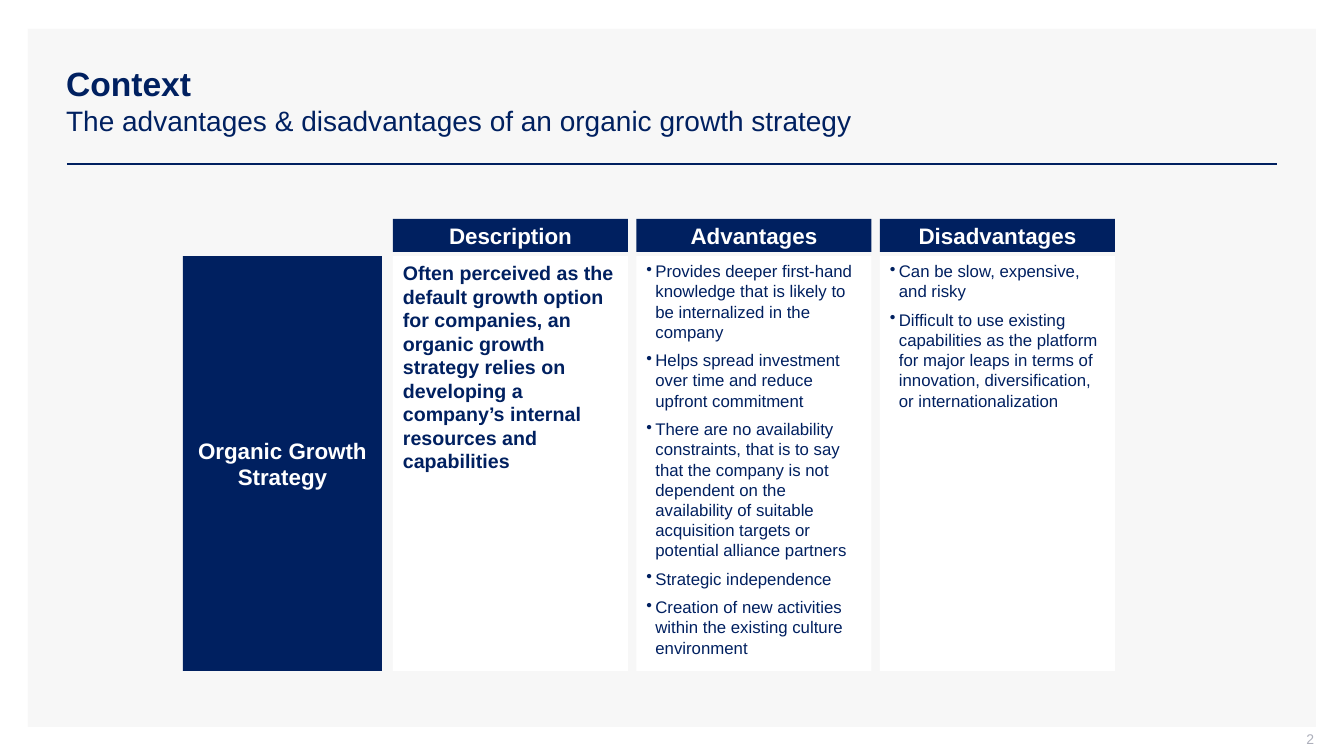
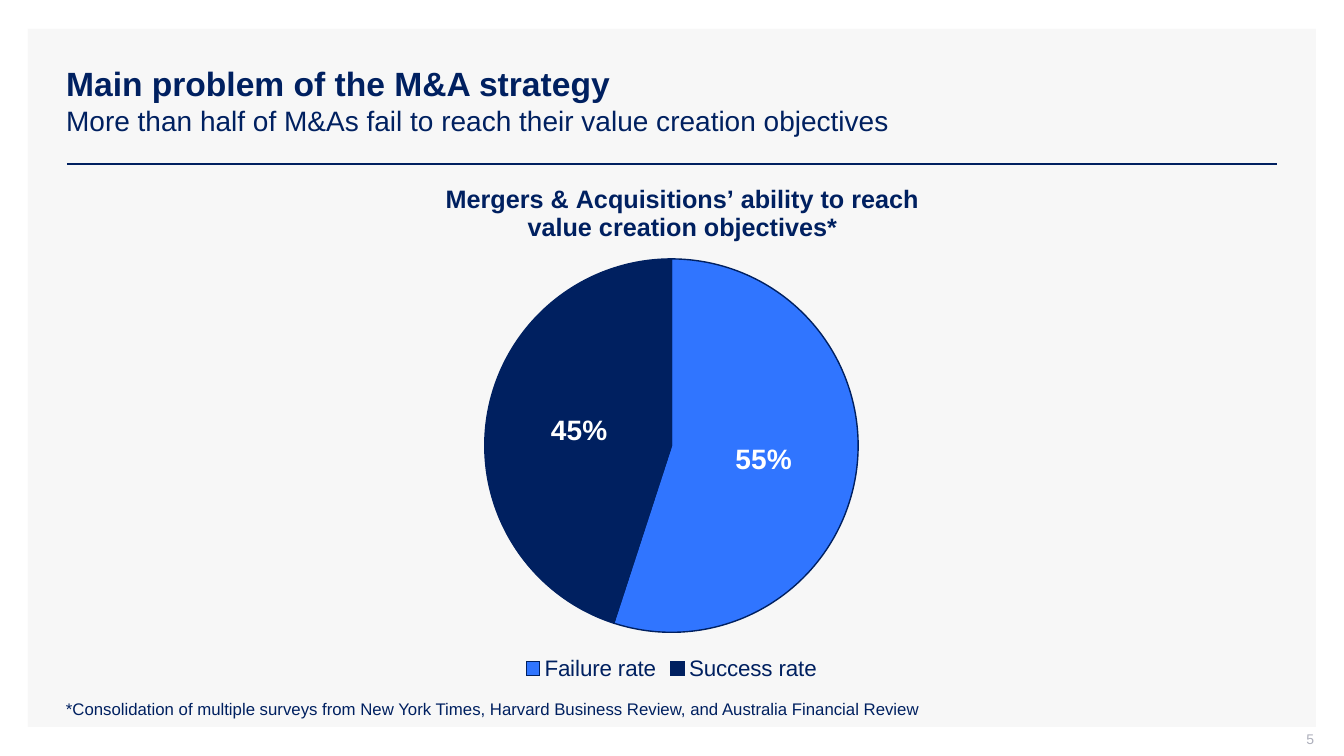
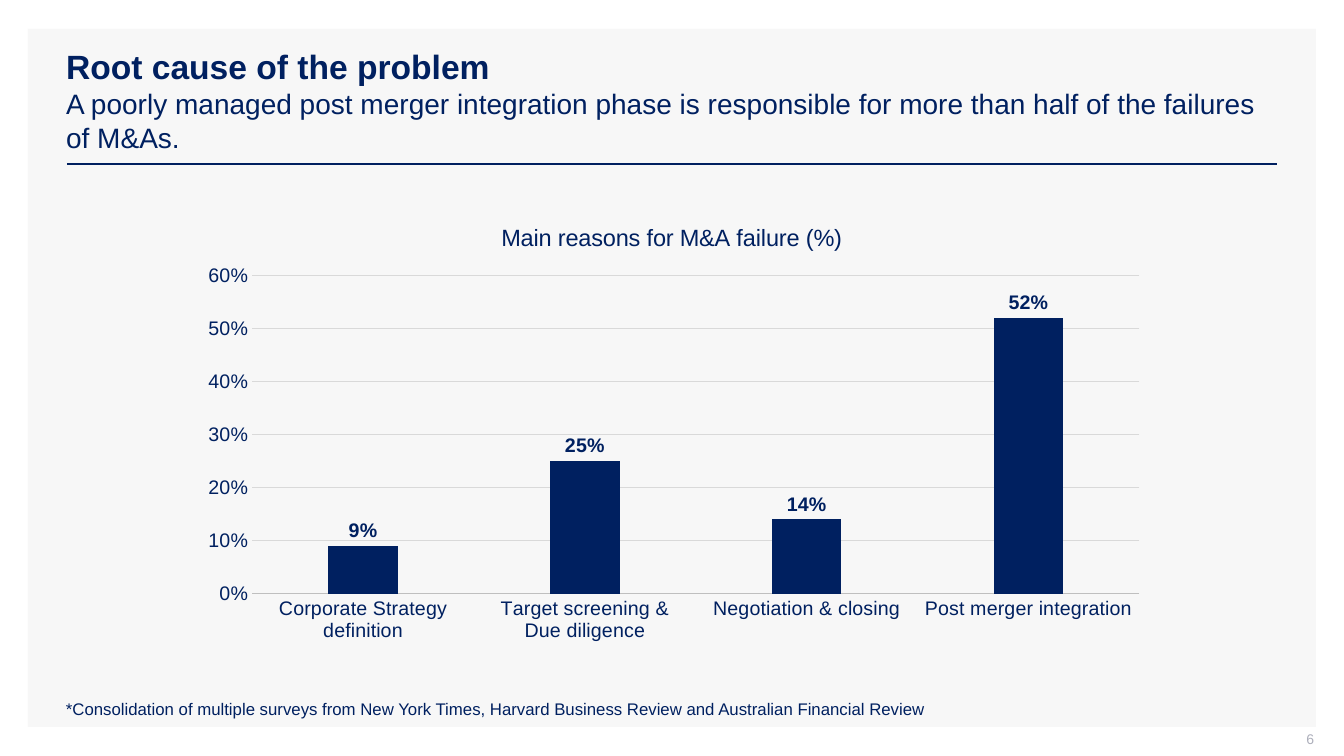
from lxml import etree
from pptx import Presentation
from pptx.chart.data import CategoryChartData
from pptx.dml.color import RGBColor
from pptx.enum.chart import XL_CHART_TYPE, XL_LABEL_POSITION, XL_LEGEND_POSITION, XL_TICK_MARK
from pptx.enum.shapes import MSO_CONNECTOR, MSO_SHAPE
from pptx.enum.text import MSO_ANCHOR, MSO_AUTO_SIZE, PP_ALIGN
from pptx.oxml.ns import qn
from pptx.util import Emu, Pt

NAVY = RGBColor(0x00, 0x20, 0x60)
BLUE = RGBColor(0x30, 0x75, 0xFF)
WHITE = RGBColor(0xFF, 0xFF, 0xFF)
PANEL_GREY = RGBColor(0xF7, 0xF7, 0xF7)
NUMBER_GREY = RGBColor(0xAD, 0xAF, 0xBB)
GRID_GREY = RGBColor(0xD9, 0xD9, 0xD9)
AXIS_GREY = RGBColor(0xBF, 0xBF, 0xBF)
FONT = "Arial"

LEFT, CENTER, RIGHT = PP_ALIGN.LEFT, PP_ALIGN.CENTER, PP_ALIGN.RIGHT
TOP, MIDDLE = MSO_ANCHOR.TOP, MSO_ANCHOR.MIDDLE
NO_TICK = XL_TICK_MARK.NONE

# Content
CONTEXT = {
    "number": 2,
    "heading": "Context",
    "tagline": "The advantages & disadvantages of an organic growth strategy",
}
STRATEGY = "Organic Growth Strategy"
COLUMNS = [
    ("Description",
     "Often perceived as the default growth option for companies, an organic growth "
     "strategy relies on developing a company’s internal resources and capabilities"),
    ("Advantages", [
        "Provides deeper first-hand knowledge that is likely to be internalized in the company",
        "Helps spread investment over time and reduce upfront commitment",
        "There are no availability constraints, that is to say that the company is not "
        "dependent on the availability of suitable acquisition targets or potential "
        "alliance partners",
        "Strategic independence",
        "Creation of new activities within the existing culture environment",
    ]),
    ("Disadvantages", [
        "Can be slow, expensive, and risky",
        "Difficult to use existing capabilities as the platform for major leaps in terms of "
        "innovation, diversification, or internationalization",
    ]),
]
PROBLEM = {
    "number": 5,
    "heading": "Main problem of the M&A strategy",
    "tagline": "More than half of M&As fail to reach their value creation objectives",
    "footnote": "*Consolidation of multiple surveys from New York Times, Harvard Business "
                "Review, and Australia Financial Review",
}
OUTCOME_TITLE = ["Mergers & Acquisitions’ ability to reach", "value creation objectives*"]
OUTCOMES = [("Failure rate", 0.55, BLUE), ("Success rate", 0.45, NAVY)]
ROOT_CAUSE = {
    "number": 6,
    "heading": "Root cause of the problem",
    "tagline": "A poorly managed post merger integration phase is responsible for more than "
               "half of the failures of M&As.",
    "footnote": "*Consolidation of multiple surveys from New York Times, Harvard Business "
                "Review and Australian Financial Review",
}
REASONS_TITLE = "Main reasons for M&A failure (%)"
REASONS = [
    ("Corporate Strategy definition", 0.09),
    ("Target screening & Due diligence", 0.25),
    ("Negotiation & closing", 0.14),
    ("Post merger integration", 0.52),
]

# Geometry in px
SLIDE_W, SLIDE_H = 1344, 756
PANEL = (28, 29, 1288, 698)
TITLE = (56, 40, 1221, 120)
RULE_LEFT, RULE_RIGHT, RULE_Y = 67, 1277, 164
NUMBER = (1012, 731, 302, 21)
FOOTNOTE = (56, 694, 882, 30)
SIDEBAR_LEFT, SIDEBAR_W = 183, 199
COLUMNS_LEFT, COLUMNS_RIGHT, COLUMN_W = 393, 1115, 235
HEADER_TOP, HEADER_H = 219, 33
BODY_TOP, BODY_H = 256, 415
OUTCOME_CHART = (277, 159, 789, 526)
REASONS_CHART = (184, 204, 975, 448)


def px(value):
    return Emu(round(value * 914400 / 100.8))


def box(area):
    return [px(value) for value in area]


def style_font(font, size, color=NAVY, bold=False):
    font.name, font.size, font.bold = FONT, Pt(size), bold
    font.color.rgb = color


def put_text(paragraph, text, size=12, color=NAVY, bold=False, align=LEFT):
    paragraph.alignment = align
    run = paragraph.add_run()
    run.text = text
    style_font(run.font, size, color, bold)


def put_bullets(frame, items):
    for index, item in enumerate(items):
        paragraph = frame.add_paragraph() if index else frame.paragraphs[0]
        properties = paragraph._p.get_or_add_pPr()
        indent = px(9)
        properties.set("marL", str(indent))
        properties.set("indent", str(-indent))
        etree.SubElement(properties, qn("a:buChar")).set("char", "•")
        if index:
            paragraph.space_before = Pt(3)
        paragraph.space_after = Pt(3)
        put_text(paragraph, item)


def add_block(slide, area, fill, anchor=MIDDLE):
    block = slide.shapes.add_shape(MSO_SHAPE.RECTANGLE, *box(area))
    block.shadow.inherit = False
    block.fill.solid()
    block.fill.fore_color.rgb = fill
    block.line.fill.background()
    block.text_frame.word_wrap = True
    block.text_frame.vertical_anchor = anchor
    return block


def add_label(slide, area, text, **style):
    label = slide.shapes.add_textbox(*box(area)).text_frame
    label.word_wrap = True
    put_text(label.paragraphs[0], text, **style)
    return label


def build_layout(deck):
    """Give the layout its panel, rule and title style."""
    layout = deck.slide_layouts.get_by_name("Title Only")
    title_style = deck.slide_master.element.xpath(".//p:titleStyle/a:lvl1pPr")[0]
    title_style.set("algn", "l")
    title_style.find(qn("a:defRPr")).set("sz", "2400")
    title = layout.placeholders[0]
    title.left, title.top, title.width, title.height = box(TITLE)
    return layout


def move_to_layout(layout, parts):
    for offset, part in enumerate(parts):
        part.element.xpath(".//p:cNvPr")[0].set("id", str(100 + offset))
        layout.shapes.element.insert(2 + offset, part.element)


def draw_frame(slide):
    panel = add_block(slide, PANEL, PANEL_GREY)
    rule = slide.shapes.add_connector(
        MSO_CONNECTOR.STRAIGHT, px(RULE_LEFT), px(RULE_Y), px(RULE_RIGHT), px(RULE_Y))
    rule.line.color.rgb = NAVY
    rule.line.width = Pt(2)
    etree.SubElement(rule.element.spPr, qn("a:effectLst"))
    return panel, rule


def add_slide(deck, layout, content):
    slide = deck.slides.add_slide(layout)
    frame = slide.shapes.title.text_frame
    frame.auto_size = MSO_AUTO_SIZE.NONE
    frame.vertical_anchor = MIDDLE
    heading = frame.paragraphs[0]
    put_text(heading, content["heading"], size=24, bold=True)
    heading.add_line_break()
    put_text(heading, content["tagline"], size=20)

    number = add_label(slide, NUMBER, str(content["number"]),
                       size=10, color=NUMBER_GREY, align=RIGHT)
    number.vertical_anchor = MIDDLE
    number.margin_top = number.margin_right = 0
    number.margin_bottom = px(5)
    if "footnote" in content:
        add_label(slide, FOOTNOTE, content["footnote"])
    return slide


def add_strategy_grid(slide):
    sidebar = add_block(slide, (SIDEBAR_LEFT, BODY_TOP, SIDEBAR_W, BODY_H), NAVY)
    heading_style = {"size": 16, "color": WHITE, "bold": True, "align": CENTER}
    put_text(sidebar.text_frame.paragraphs[0], STRATEGY, **heading_style)
    pitch = (COLUMNS_RIGHT - COLUMNS_LEFT - COLUMN_W) / (len(COLUMNS) - 1)
    for index, (heading, body) in enumerate(COLUMNS):
        left = COLUMNS_LEFT + index * pitch
        header = add_block(slide, (left, HEADER_TOP, COLUMN_W, HEADER_H), NAVY)
        put_text(header.text_frame.paragraphs[0], heading, **heading_style)
        cell = add_block(slide, (left, BODY_TOP, COLUMN_W, BODY_H), WHITE, TOP).text_frame
        if isinstance(body, str):
            put_text(cell.paragraphs[0], body, size=14, bold=True)
        else:
            put_bullets(cell, body)


def place(element, index, **fractions):
    """Fix the position of a chart part, as fractions of the chart."""
    for old in element.findall(qn("c:layout")):
        element.remove(old)
    layout = etree.Element(qn("c:layout"))
    manual = etree.SubElement(layout, qn("c:manualLayout"))
    if "w" in fractions:
        etree.SubElement(manual, qn("c:layoutTarget")).set("val", "inner")
    for axis in "xy":
        etree.SubElement(manual, qn(f"c:{axis}Mode")).set("val", "edge")
    for key, value in fractions.items():
        etree.SubElement(manual, qn(f"c:{key}")).set("val", str(value))
    element.insert(index, layout)


def add_chart(slide, kind, area, name, rows, title_lines, title_size, title_bold=False):
    data = CategoryChartData(number_format="0%")
    data.categories = [row[0] for row in rows]
    data.add_series(name, [row[1] for row in rows])
    chart = slide.shapes.add_chart(kind, *box(area), data).chart
    style_font(chart.font, 14)
    chart.has_title = True
    title = chart.chart_title.text_frame
    for index, line in enumerate(title_lines):
        paragraph = title.add_paragraph() if index else title.paragraphs[0]
        put_text(paragraph, line, size=title_size, bold=title_bold, align=CENTER)
    chart.chart_title.include_in_layout = False
    return chart


def add_value_labels(plot, position, **style):
    plot.has_data_labels = True
    labels = plot.data_labels
    labels.show_value = True
    labels.number_format, labels.number_format_is_linked = "0%", False
    labels.position = position
    style_font(labels.font, bold=True, **style)


def add_outcome_pie(slide):
    chart = add_chart(slide, XL_CHART_TYPE.PIE, OUTCOME_CHART, "Series 1", OUTCOMES,
                      OUTCOME_TITLE, 18, True)
    place(chart.chart_title._element, 1, x=0.21, y=0.04)
    place(chart._chartSpace.chart.plotArea, 0, x=0.26, y=0.19, w=0.48, h=0.71)
    chart.has_legend = True
    chart.legend.position = XL_LEGEND_POSITION.BOTTOM
    chart.legend.include_in_layout = False
    style_font(chart.legend.font, 16)
    pie = chart.plots[0]
    pie.vary_by_categories = True
    for index, (_, _, color) in enumerate(OUTCOMES):
        slice_format = pie.series[0].points[index].format
        slice_format.fill.solid()
        slice_format.fill.fore_color.rgb = color
        slice_format.line.color.rgb = NAVY
        slice_format.line.width = Pt(1)
    add_value_labels(pie, XL_LABEL_POSITION.CENTER, size=20, color=WHITE)


def add_reasons_columns(slide):
    chart = add_chart(slide, XL_CHART_TYPE.COLUMN_CLUSTERED, REASONS_CHART, REASONS_TITLE,
                      REASONS, [REASONS_TITLE], 16.8)
    place(chart._chartSpace.chart.plotArea, 0, x=0.07, y=0.16, w=0.91, h=0.71)
    chart.has_legend = False
    columns = chart.plots[0]
    columns.vary_by_categories = False
    columns.gap_width, columns.overlap = 219, -27
    columns.series[0].format.fill.solid()
    columns.series[0].format.fill.fore_color.rgb = NAVY
    add_value_labels(columns, XL_LABEL_POSITION.OUTSIDE_END, size=14)

    for axis in (chart.category_axis, chart.value_axis):
        axis.major_tick_mark = axis.minor_tick_mark = NO_TICK
        style_font(axis.tick_labels.font, 14)
    reasons_line = chart.category_axis.format.line
    reasons_line.color.rgb, reasons_line.width = AXIS_GREY, Pt(0.75)
    share_axis = chart.value_axis
    share_axis.minimum_scale, share_axis.maximum_scale, share_axis.major_unit = 0, 0.6, 0.1
    share_axis.tick_labels.number_format = "0%"
    share_axis.tick_labels.number_format_is_linked = False
    share_axis.format.line.fill.background()
    grid = share_axis.major_gridlines.format.line
    grid.color.rgb, grid.width = GRID_GREY, Pt(0.75)


def main():
    deck = Presentation()
    deck.slide_width, deck.slide_height = px(SLIDE_W), px(SLIDE_H)
    layout = build_layout(deck)

    context = add_slide(deck, layout, CONTEXT)
    move_to_layout(layout, draw_frame(context))
    add_strategy_grid(context)
    add_outcome_pie(add_slide(deck, layout, PROBLEM))
    add_reasons_columns(add_slide(deck, layout, ROOT_CAUSE))
    deck.save("out.pptx")


if __name__ == "__main__":
    main()
